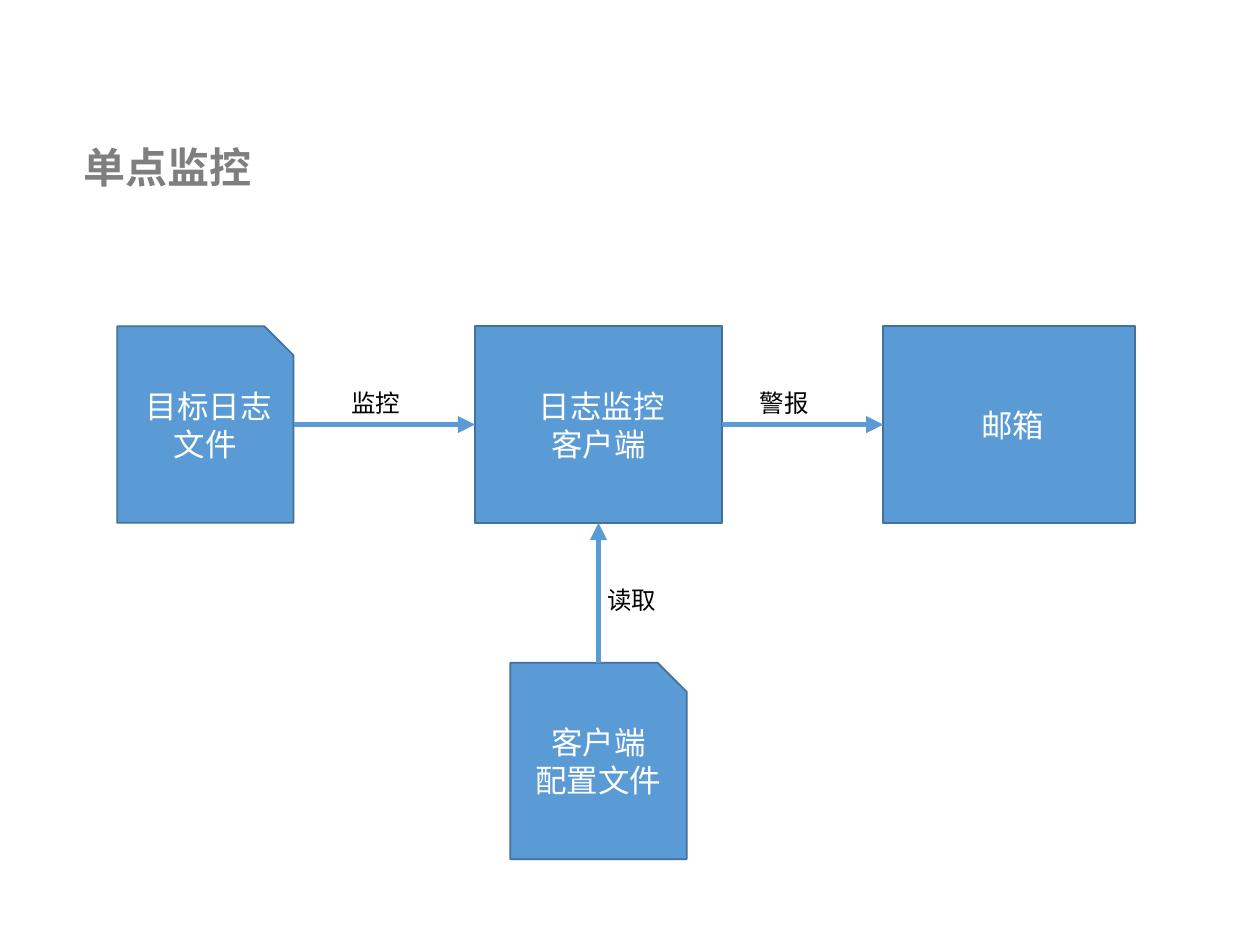
from lxml.etree import SubElement
from pptx import Presentation
from pptx.dml.color import RGBColor
from pptx.enum.shapes import MSO_CONNECTOR as CONN, MSO_SHAPE as SHAPE
from pptx.enum.text import MSO_ANCHOR as ANCHOR, PP_ALIGN as ALIGN
from pptx.oxml.ns import qn
from pptx.util import Inches, Pt

BLUE, EDGE, WHITE, BLACK, GREY = "5B9BD5", "41719C", "FFFFFF", "000000", "7F7F7F"
TOP, LEFT, BOTTOM, RIGHT = range(4)
ROW_TOP, FILE_TOP, BOX_H = 2.59, 5.26, 1.56
FILE_W, SNIP = 1.4, 0.23
ROW_MID = ROW_TOP + BOX_H / 2


def rgb(value):
    """Return the colour for a hex string."""
    return RGBColor.from_string(value)


def put_text(s, text, size=18, color=WHITE, font="Calibri", bold=False,
             align=ALIGN.CENTER, anchor=ANCHOR.MIDDLE, wrap=True):
    """Write one paragraph per line of text into a shape."""
    tf = s.text_frame
    tf.word_wrap, tf.vertical_anchor = wrap, anchor
    for i, line in enumerate(text.split("\n")):
        p = tf.paragraphs[0] if i == 0 else tf.add_paragraph()
        p.alignment = align
        r = p.add_run()
        r.text = line
        r.font.size, r.font.bold, r.font.name = Pt(size), bold, font
        r.font.color.rgb = rgb(color)
        SubElement(r.font._element, qn("a:ea"), typeface=font)


def style_box(s, text):
    """Give a shape the common box look and its text."""
    s.shadow.inherit = False
    s.fill.solid()
    s.fill.fore_color.rgb = rgb(BLUE)
    s.line.color.rgb = rgb(EDGE)
    s.line.width = Pt(1)
    put_text(s, text)
    return s


def add_box(slide, text, x, y, w):
    """Add a rectangular node."""
    s = slide.shapes.add_shape(SHAPE.RECTANGLE, Inches(x), Inches(y),
                               Inches(w), Inches(BOX_H))
    return style_box(s, text)


def add_file(slide, text, x, y):
    """Add a file node with its top right corner cut off."""
    right, bottom = x + FILE_W, y + BOX_H
    points = [(right - SNIP, y), (right, y + SNIP), (right, bottom), (x, bottom)]
    fb = slide.shapes.build_freeform(Inches(x), Inches(y))
    fb.add_line_segments([(Inches(px), Inches(py)) for px, py in points], close=True)
    return style_box(fb.convert_to_shape(), text)


def add_arrow(slide, start, end, begin=None, finish=None):
    """Add an arrow, joined to (shape, side) pairs where given."""
    c = slide.shapes.add_connector(CONN.STRAIGHT, *map(Inches, start + end))
    if begin:
        c.begin_connect(*begin)
    if finish:
        c.end_connect(*finish)
    c.line.color.rgb = rgb(BLUE)
    c.line.width = Pt(3.25)
    SubElement(c.line._get_or_add_ln(), qn("a:tailEnd"), type="triangle")
    SubElement(c._element.spPr, qn("a:effectLst"))


def add_label(slide, text, x, y):
    """Add the caption of an arrow."""
    s = slide.shapes.add_textbox(Inches(x), Inches(y), Inches(0.73), Inches(0.34))
    put_text(s, text, size=14, color=BLACK, align=ALIGN.LEFT, anchor=ANCHOR.TOP)


def add_title(slide, text):
    """Place and format the slide title."""
    s = slide.shapes.title
    s.left, s.top, s.width, s.height = map(Inches, (0.56, 1.07, 1.77, 0.5))
    put_text(s, text, size=24, color=GREY, font="Noto Sans CJK SC", bold=True,
             align=ALIGN.LEFT, wrap=False)


def main():
    """Build the single-point monitoring slide."""
    prs = Presentation()
    prs.slide_width, prs.slide_height = Inches(10), Inches(7.5)
    slide = prs.slides.add_slide(prs.slide_layouts[5])
    add_title(slide, "单点监控")

    client = add_box(slide, " 日志监控\n客户端", 3.77, ROW_TOP, 1.96)
    mailbox = add_box(slide, " 邮箱", 7.01, ROW_TOP, 2)
    add_file(slide, " 目标日志\n文件", 0.93, ROW_TOP)
    add_file(slide, "客户端\n配置文件", 4.05, FILE_TOP)

    add_arrow(slide, (2.33, ROW_MID), (3.77, ROW_MID), finish=(client, LEFT))
    add_arrow(slide, (5.73, ROW_MID), (7.01, ROW_MID), (client, RIGHT), (mailbox, LEFT))
    add_arrow(slide, (4.75, FILE_TOP), (4.75, ROW_TOP + BOX_H), finish=(client, BOTTOM))

    for text, x, y in [("监控", 2.69, 3.03), ("警报", 5.93, 3.03), ("读取", 4.72, 4.59)]:
        add_label(slide, text, x, y)
    prs.save("out.pptx")


if __name__ == "__main__":
    main()
